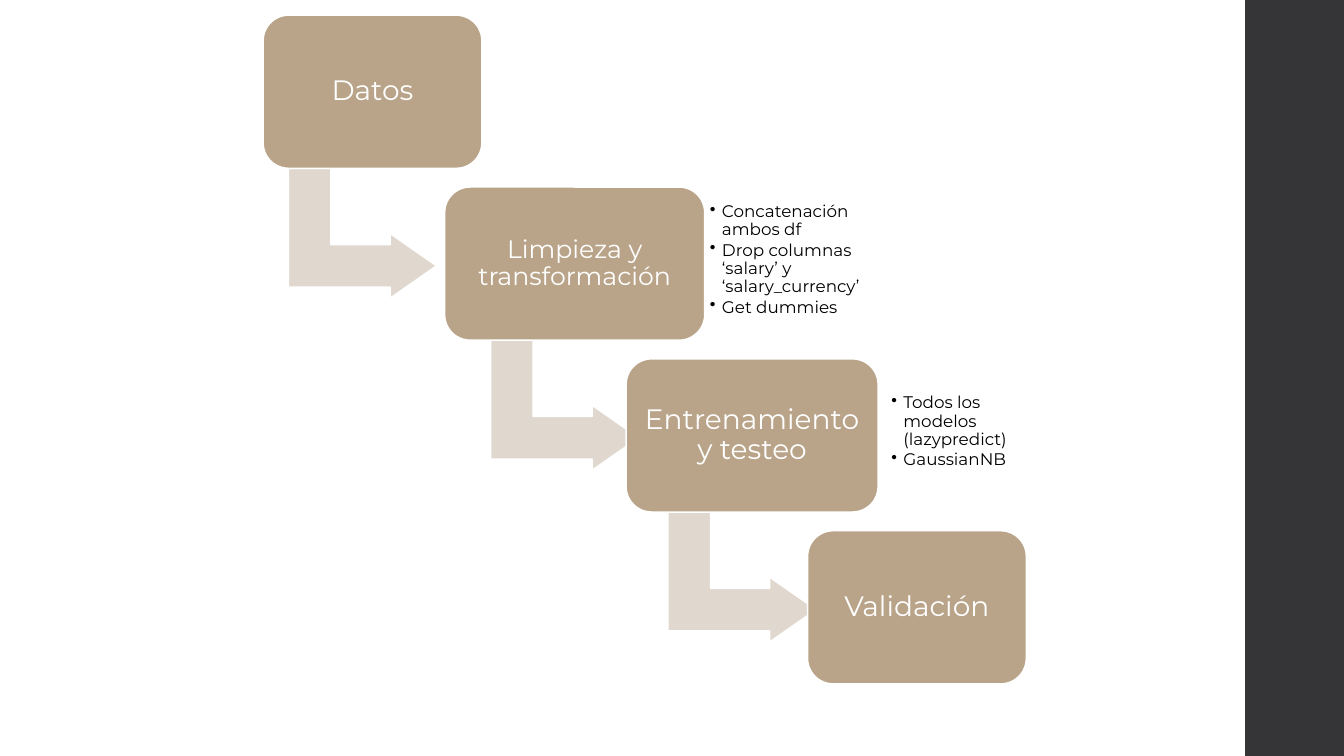
from pptx import Presentation, util as u
from pptx.dml.color import RGBColor
from pptx.enum import shapes, text
from lxml import etree

WIDE, HIGH = 13.33, 7.5
FONT = "Montserrat"
TAN, SAND, DARK, WHITE, BLACK = "B9A489", "E0D8CF", "353537", "FFFFFF", "000000"
KIND = shapes.MSO_SHAPE

# Staircase grid: first corner, step between boxes, box height
LEFT, TOP = 2.61, 0.15
COL, ROW = 1.8, 1.705
TALL = 1.52

# Title, box width, text size, bullets, bullet gap, bullet width
STEPS = [
    ("Datos", 2.17, 20, [], 0, 0),
    ("Limpieza y transformación", 2.58, 18,
     ["Concatenación ambos df",
      "Drop columnas ‘salary’ y ‘salary_currency’",
      "Get dummies"], 0, 1.92),
    ("Entrenamiento y testeo", 2.5, 20,
     ["Todos los modelos (lazypredict)", "GaussianNB"], 0.08, 1.58),
    ("Validación", 2.17, 20, [], 0, 0),
]


def hue(code):
    return RGBColor.from_string(code)


def block(slide, kind, box, fill, edge=None):
    shape = slide.shapes.add_shape(kind, *map(u.Inches, box))
    shape.shadow.inherit = False
    shape.fill.solid()
    shape.fill.fore_color.rgb = hue(fill)
    if edge:
        shape.line.color.rgb = hue(edge)
        shape.line.width = u.Pt(1.1)
    else:
        shape.line.fill.background()
    return shape


def adjust(shape, *shares):
    for i, share in enumerate(shares):
        shape.adjustments[i] = share


def write(frame, lines, size, color, inset, after, align):
    frame.word_wrap = True
    frame.vertical_anchor = text.MSO_ANCHOR.MIDDLE
    frame.margin_left = frame.margin_right = u.Inches(inset)
    frame.margin_top = frame.margin_bottom = u.Inches(inset)
    for i, line in enumerate(lines):
        para = frame.paragraphs[0] if i == 0 else frame.add_paragraph()
        para.alignment = align
        para.line_spacing = 0.9
        para.space_after = u.Pt(size * after)
        run = para.add_run()
        run.text = line
        run.font.name = FONT
        run.font.size = u.Pt(size)
        run.font.color.rgb = hue(color)


def bullet(para):
    para.level = 1
    props = para._p.get_or_add_pPr()
    props.set("marL", str(u.Inches(0.12)))
    props.set("indent", str(-u.Inches(0.12)))
    space = "{http://schemas.openxmlformats.org/drawingml/2006/main}"
    etree.SubElement(props, space + "buChar", char="•")


def arrow(slide, box):
    """Bent arrow below a box, turned to point at the next one."""
    x, y, w, h = box
    wide, tall = 1.29, 1.47
    place = (x + w / 2 - 0.1 - wide / 2, y + h - 0.09, wide, tall)
    shape = block(slide, KIND.BENT_UP_ARROW, place, SAND, WHITE)
    adjust(shape, 0.328, 0.25, 0.358)
    shape.rotation = 90


def card(slide, box, title, size):
    shape = block(slide, KIND.ROUNDED_RECTANGLE, box, TAN, WHITE)
    adjust(shape, 0.167)
    write(shape.text_frame, [title], size, WHITE, 0.08, 0.35,
          text.PP_ALIGN.CENTER)


def notes(slide, box, lines):
    area = slide.shapes.add_textbox(*map(u.Inches, box))
    write(area.text_frame, lines, 12, BLACK, 0.05, 0.15, text.PP_ALIGN.LEFT)
    for para in area.text_frame.paragraphs:
        bullet(para)


def stairs(slide, x, y):
    for i, (title, wide, size, lines, gap, span) in enumerate(STEPS):
        box = (x + i * COL, y + i * ROW, wide, TALL)
        if i < len(STEPS) - 1:
            arrow(slide, box)
        card(slide, box, title, size)
        if lines:
            notes(slide, (box[0] + wide + gap, box[1] + 0.11, span, 1.23),
                  lines)


def main():
    deck = Presentation()
    deck.slide_width, deck.slide_height = u.Inches(WIDE), u.Inches(HIGH)
    slide = deck.slides.add_slide(deck.slide_layouts[6])
    # Side band
    block(slide, KIND.RECTANGLE, (12.35, 0, WIDE - 12.35, HIGH), DARK)
    # Process steps
    stairs(slide, LEFT, TOP)
    deck.save("out.pptx")


if __name__ == "__main__":
    main()
